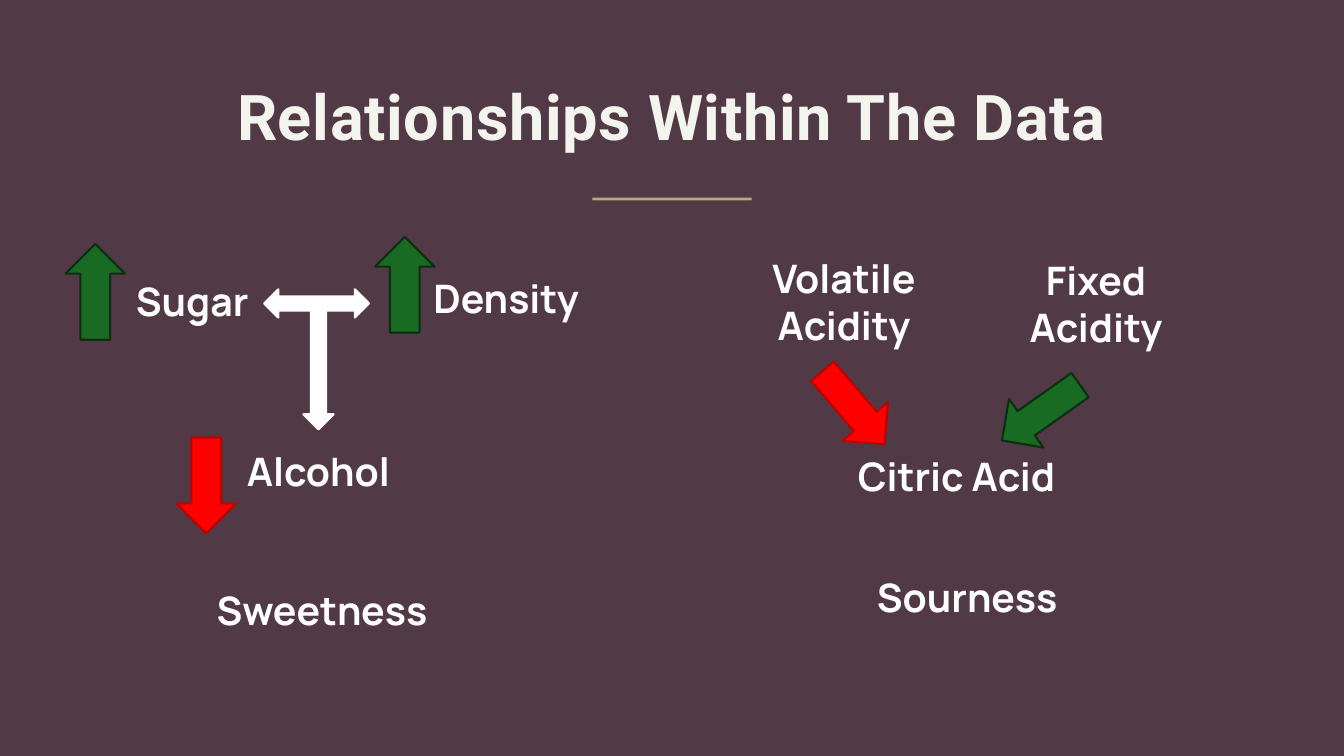
from dataclasses import dataclass

from pptx import Presentation
from pptx import util as u
from pptx.dml.color import RGBColor
from pptx.enum import shapes, text

MSO = shapes.MSO_SHAPE


@dataclass(frozen=True)
class Theme:
    """Hold the colours, fonts and type sizes of the slide."""
    back: str = "513A45"
    title: str = "F3F4ED"
    rule: str = "C1A480"
    white: tuple = ("FFFFFF", "FFFFFF")
    green: tuple = ("196B24", "0B2F10")
    red: tuple = ("FF0000", "C00000")
    title_font: str = "Roboto"
    label_font: str = "Manrope"
    title_size: int = 45
    label_size: int = 28


T = Theme()
ARROW = (0.59, 0.95)


def style_font(font, name, size, color):
    """Apply a bold typeface, size and colour to a font."""
    for key, value in {"name": name, "size": u.Pt(size), "bold": True}.items():
        setattr(font, key, value)
    font.color.rgb = RGBColor.from_string(color)


def place(sp, left, top, width, height):
    """Move and size a shape in inches."""
    box = {"left": left, "top": top, "width": width, "height": height}
    for key, value in box.items():
        setattr(sp, key, u.Inches(value))


def add_block(s, kind, box, fill, line=None, angle=0):
    """Add a flat preset shape with an optional outline and rotation."""
    sp = s.shapes.add_shape(kind, *map(u.Inches, box))
    sp.shadow.inherit = False
    sp.rotation = angle
    sp.fill.solid()
    sp.fill.fore_color.rgb = RGBColor.from_string(fill)
    if line:
        sp.line.color.rgb = RGBColor.from_string(line)
        sp.line.width = u.Pt(1.5)
    else:
        sp.line.fill.background()
    return sp


def add_label(s, words, left, top, width, height=0.57, align=text.PP_ALIGN.LEFT):
    """Add a bold label."""
    sp = s.shapes.add_textbox(*map(u.Inches, (left, top, width, height)))
    tf = sp.text_frame
    tf.word_wrap = True
    p = tf.paragraphs[0]
    p.text = words
    p.alignment = align
    for r in p.runs:
        style_font(r.font, T.label_font, T.label_size, T.white[0])


def add_heading(s, left, top, width):
    """Fill the title placeholder and centre a short rule beneath it."""
    sp = s.shapes.title
    place(sp, left, top, width, 0.74)
    tf = sp.text_frame
    frame = {"margin_left": 0, "margin_top": 0, "margin_right": 0,
             "margin_bottom": 0, "word_wrap": True,
             "auto_size": text.MSO_AUTO_SIZE.NONE,
             "vertical_anchor": text.MSO_ANCHOR.TOP}
    for key, value in frame.items():
        setattr(tf, key, value)
    p = tf.paragraphs[0]
    p.alignment = text.PP_ALIGN.CENTER
    p.line_spacing = u.Pt(56)
    r = p.add_run()
    r.text = "Relationships Within The Data"
    style_font(r.font, T.title_font, T.title_size, T.title)
    r.font._element.set("spc", "50")
    rule_width = 1.58
    add_block(s, MSO.RECTANGLE,
              (left + (width - rule_width) / 2, top + 1.22, rule_width, 0.03), T.rule)


def add_sweetness(s, left, top):
    """Draw how sugar, density and alcohol relate to sweetness."""
    for dx, dy, colors, angle in ((0, 0.07, T.green, 0), (3.07, 0, T.green, 0),
                                  (1.1, 1.99, T.red, 180)):
        add_block(s, MSO.UP_ARROW, (left + dx, top + dy, *ARROW), *colors, angle)
    for kind, dx, dy, width, height in (
            (MSO.LEFT_RIGHT_ARROW, 1.97, 0.52, 1.04, 0.28),
            (MSO.DOWN_ARROW, 2.36, 0.73, 0.3, 1.18)):
        add_block(s, kind, (left + dx, top + dy, width, height), *T.white)
    for words, dx, dy, width in (("Sugar", 0.6, 0.35, 3.56), ("Density", 3.55, 0.32, 3.56),
                                 ("Alcohol", 1.7, 2.04, 3.56),
                                 ("Sweetness", 1.4, 3.42, 4.54)):
        add_label(s, words, left + dx, top + dy, width)


def add_sourness(s, left, top):
    """Draw how the acids relate to sourness."""
    for dx, dy, colors, angle in ((0.71, 1.1, T.red, 139.6), (2.57, 1.15, T.green, 234.7)):
        add_block(s, MSO.UP_ARROW, (left + dx, top + dy, *ARROW), *colors, angle)
    for words, dx, dy in (("Volatile\vAcidity", 0, 0), ("Fixed\vAcidity", 2.5, 0.02)):
        add_label(s, words, left + dx, top + dy, 1.82, 1.04, text.PP_ALIGN.CENTER)
    for words, dx, dy, width in (("Citric Acid", 0.95, 1.97, 3.56),
                                 ("Sourness", 1.14, 3.17, 4.54)):
        add_label(s, words, left + dx, top + dy, width)


def main():
    """Build and save the slide."""
    prs = Presentation()
    prs.slide_width, prs.slide_height = u.Inches(13.33), u.Inches(7.5)
    s = prs.slides.add_slide(prs.slide_layouts[5])
    s.background.fill.solid()
    s.background.fill.fore_color.rgb = RGBColor.from_string(T.back)
    add_heading(s, 0.83, 0.74, 11.67)
    add_sweetness(s, 0.65, 2.35)
    add_sourness(s, 7.46, 2.47)
    prs.save("out.pptx")


if __name__ == "__main__":
    main()
